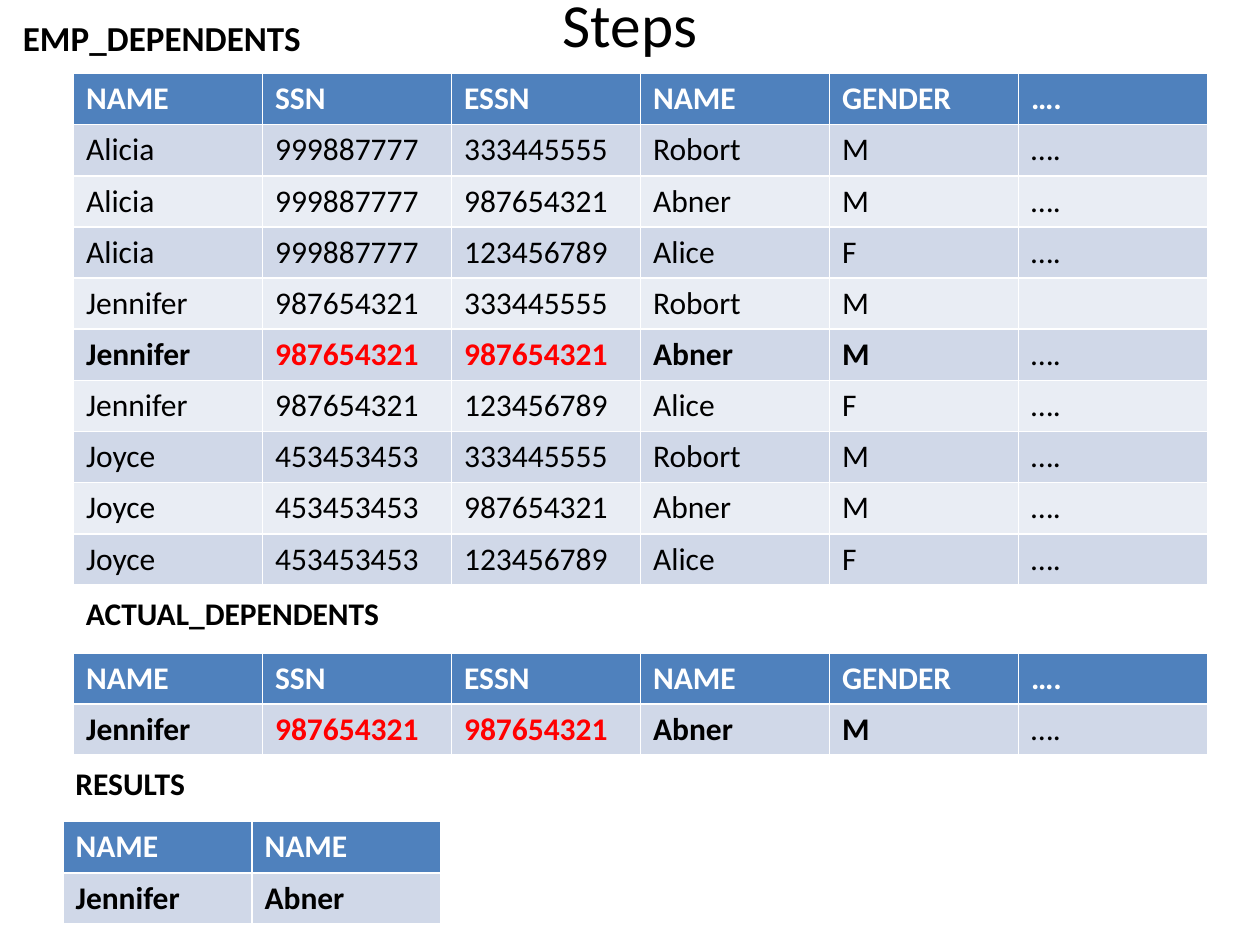
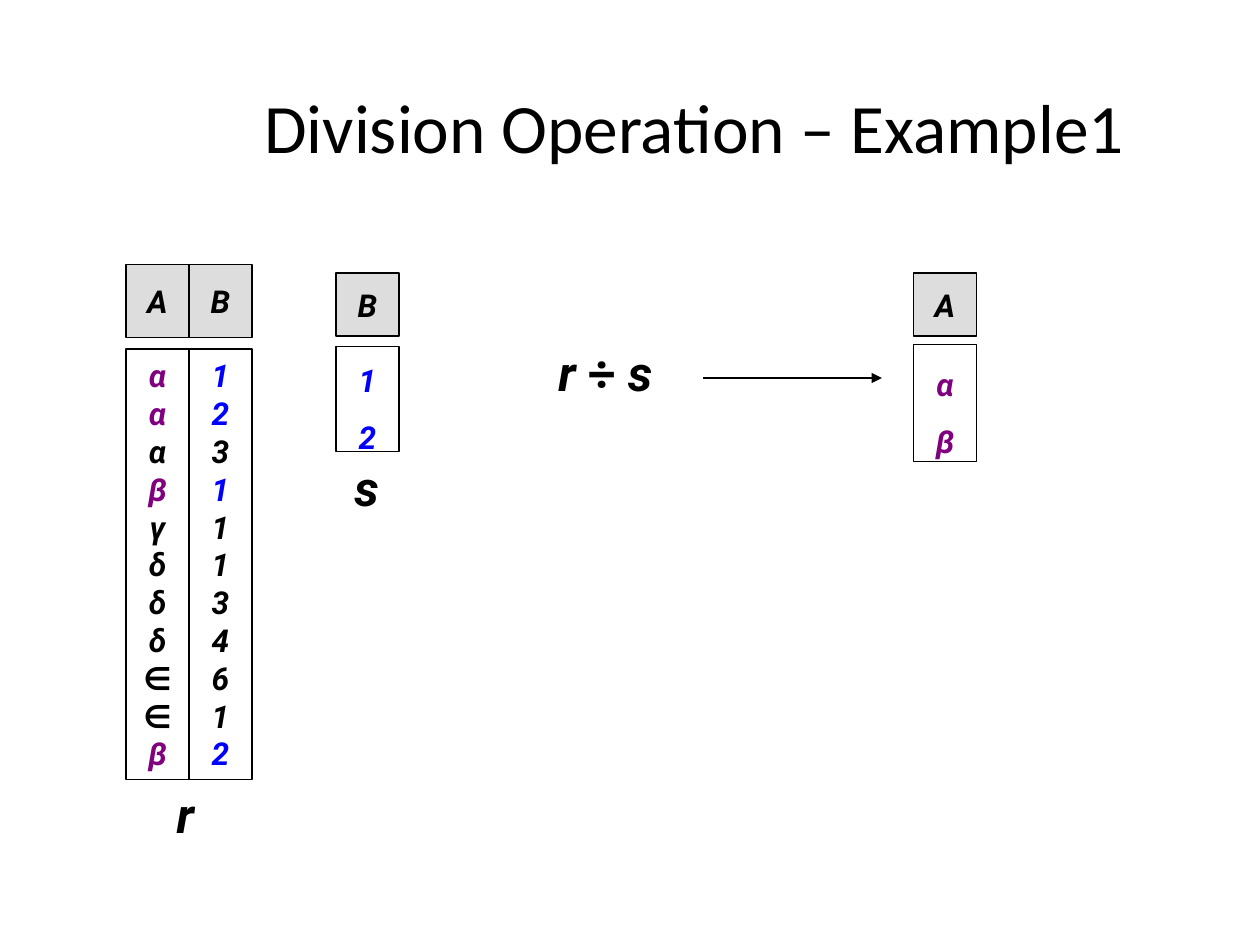
from itertools import product

from lxml import etree
from pptx import Presentation
from pptx.dml.color import RGBColor
from pptx.enum import shapes, text
from pptx.oxml.ns import qn
from pptx.util import Pt

BLACK = RGBColor(0x00, 0x00, 0x00)
WHITE = RGBColor(0xFF, 0xFF, 0xFF)
RED = RGBColor(0xFF, 0x00, 0x00)
BLUE = RGBColor(0x00, 0x00, 0xFF)
PURPLE = RGBColor(0x80, 0x00, 0x80)
GREY = RGBColor(0xDD, 0xDD, 0xDD)
HEADER_FILL = RGBColor(0x4F, 0x81, 0xBD)
BANDS = RGBColor(0xD0, 0xD8, 0xE8), RGBColor(0xE9, 0xED, 0xF4)

BODY_FONT = "Calibri"
MATH_FONT = "Roboto"
LEFT, CENTER = text.PP_ALIGN.LEFT, text.PP_ALIGN.CENTER
TOP, MIDDLE = text.MSO_ANCHOR.TOP, text.MSO_ANCHOR.MIDDLE

COL_WIDTH, ROW_HEIGHT = 108, 29.25
ATTR_WIDTH = 36
ETC = "…."
HEADERS = ["NAME", "SSN", "ESSN", "NAME", "GENDER", ETC]
EMPLOYEES = [("Alicia", "999887777"), ("Jennifer", "987654321"), ("Joyce", "453453453")]
DEPENDENTS = [("333445555", "Robort", "M"), ("987654321", "Abner", "M"),
              ("123456789", "Alice", "F")]


class Deck:
    def __init__(self):
        self.prs = Presentation()
        self.prs.slide_width, self.prs.slide_height = Pt(720), Pt(540)
        self.s = None

    def new_slide(self):
        self.s = self.prs.slides.add_slide(self.prs.slide_layouts[6])

    def style(self, font, size, color=BLACK, bold=False, italic=False, name=BODY_FONT):
        font.name, font.size = name, Pt(size)
        font.bold, font.italic = bold, italic
        font.color.rgb = color

    def label(self, box, content, size, align=LEFT, anchor=TOP, wrap=False, **look):
        sp = self.s.shapes.add_textbox(*map(Pt, box))
        tf = sp.text_frame
        tf.word_wrap, tf.vertical_anchor = wrap, anchor
        p = tf.paragraphs[0]
        p.text, p.alignment = content, align
        self.style(p.font, size, **look)
        return p

    def title(self, box, content, size):
        self.label(box, content, size, CENTER, MIDDLE, wrap=True)

    def symbol(self, box, content, wrap=False, align=CENTER, anchor=MIDDLE):
        return self.label(box, content, 28, align, anchor, wrap,
                          bold=True, italic=True, name=MATH_FONT)

    def table(self, left, top, headers, rows, strong=()):
        """Banded table; rows whose index is in strong are bold with red keys."""
        shape = self.s.shapes.add_table(
            len(rows) + 1, len(headers), Pt(left), Pt(top),
            Pt(COL_WIDTH * len(headers)), Pt(ROW_HEIGHT * (len(rows) + 1)))
        tbl = shape.table
        for row in tbl.rows:
            row.height = Pt(ROW_HEIGHT)
        for c, header in enumerate(headers):
            self.cell(tbl.cell(0, c), header, HEADER_FILL, WHITE, True)
            for r, row in enumerate(rows):
                key = r in strong and header in ("SSN", "ESSN")
                self.cell(tbl.cell(r + 1, c), row[c], BANDS[r % 2],
                          RED if key else BLACK, r in strong and header != ETC)

    def cell(self, cell, content, fill, color, bold):
        cell.fill.solid()
        cell.fill.fore_color.rgb = fill
        p = cell.text_frame.paragraphs[0]
        p.text = content
        self.style(p.font, 18, color, bold)

    def box(self, left, top, height, lines, fill=WHITE, color=BLACK, marked=(), spacing=None):
        """Bordered column of centred lines; marked line indices take the colour."""
        sp = self.s.shapes.add_shape(shapes.MSO_SHAPE.RECTANGLE, Pt(left), Pt(top),
                                     Pt(ATTR_WIDTH), Pt(height))
        sp.shadow.inherit = False
        sp.fill.solid()
        sp.fill.fore_color.rgb = fill
        sp.line.color.rgb, sp.line.width = BLACK, Pt(0.75)
        tf = sp.text_frame
        tf.word_wrap, tf.vertical_anchor = False, MIDDLE
        for i, line in enumerate(lines):
            p = tf.add_paragraph() if i else tf.paragraphs[0]
            p.text, p.alignment = line, CENTER
            if spacing:
                p.line_spacing = spacing
            self.style(p.font, 18, color if i in marked else BLACK, True, True, MATH_FONT)

    def arrow(self, x1, y1, x2, y2):
        cx = self.s.shapes.add_connector(shapes.MSO_CONNECTOR.STRAIGHT,
                                         Pt(x1), Pt(y1), Pt(x2), Pt(y2))
        cx.line.color.rgb, cx.line.width = BLACK, Pt(0.75)
        etree.SubElement(cx.line._get_or_add_ln(), qn("a:tailEnd"), type="triangle")
        etree.SubElement(cx._element.spPr, qn("a:effectLst"))


def steps_slide(deck):
    deck.new_slide()
    deck.title((36, 0, 648, 26.64), "Steps", 35)

    pairs = [[*emp, *dep, ETC] for emp, dep in product(EMPLOYEES, DEPENDENTS)]
    pairs[3][-1] = ""
    matches = [i for i, (_, ssn, essn, *_) in enumerate(pairs) if ssn == essn]
    actual = [pairs[i] for i in matches]
    results = [(row[0], row[3]) for row in actual]

    deck.table(42, 42, HEADERS, pairs, strong=matches)
    deck.label((6, 6, 204, 31.5), "EMP_DEPENDENTS", 20, wrap=True, bold=True)
    deck.label((42, 336, 183.6, 29), "ACTUAL_DEPENDENTS", 18, bold=True)
    deck.table(42, 373, HEADERS, actual, strong=[0])
    deck.label((36, 433, 77.8, 29), "RESULTS", 18, bold=True)
    deck.table(36, 469.5, ["NAME", "NAME"], results, strong=[0])


def division_slide(deck):
    deck.new_slide()
    deck.title((90, 48, 613.5, 48), "Division Operation – Example1", 39.6)

    p = deck.symbol((312, 192, 72, 30), "r ", wrap=True, align=LEFT, anchor=TOP)
    for content, italic in (("÷ ", False), ("s", True)):
        r = p.add_run()
        r.text, r.font.italic = content, italic

    r_columns = [("A", "αααβγδδδ∈∈β", PURPLE), ("B", "12311134612", BLUE)]
    for i, (name, values, color) in enumerate(r_columns):
        left = 72 + i * ATTR_WIDTH
        deck.box(left, 151, 42, name, GREY)
        deck.box(left, 199.5, 246, values, color=color, marked=(0, 1, 3, 10))

    for left, top, height, name, values, color in (
            (192, 198, 60, "B", "12", BLUE),
            (522, 196.75, 67, "A", "αβ", PURPLE)):
        deck.box(left, 156, 36, name, GREY)
        deck.box(left, top, height, values, color=color, marked=(0, 1), spacing=1.5)

    deck.symbol((93.5, 444.5, 25, 41), "r")
    deck.symbol((194.5, 258, 30, 41), "s")
    deck.arrow(402, 216, 504, 216)


def main():
    deck = Deck()
    steps_slide(deck)
    division_slide(deck)
    deck.prs.save("out.pptx")


if __name__ == "__main__":
    main()
